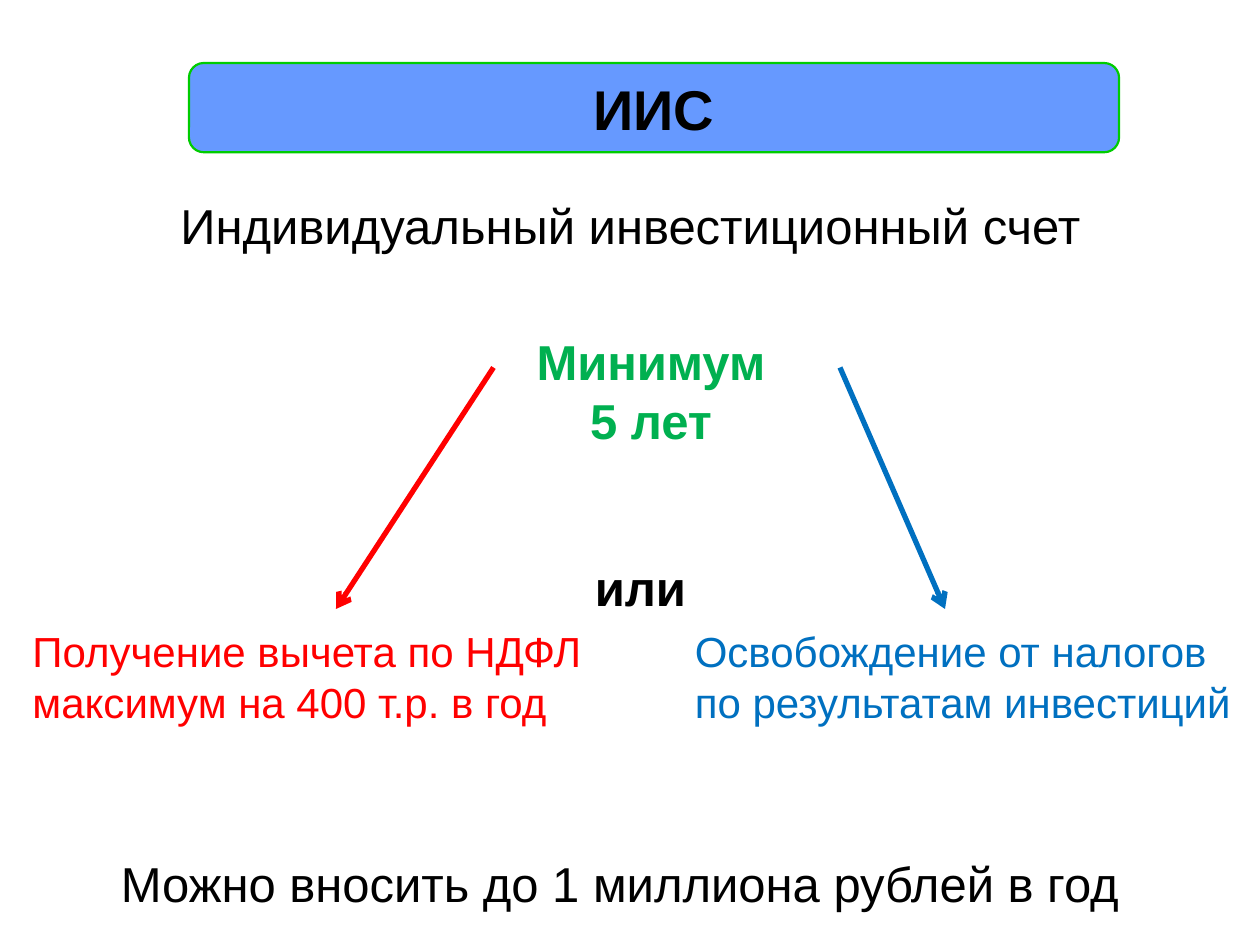
"""Build a slide on the individual investment account and its two tax options."""
from lxml.etree import SubElement
from pptx import Presentation
from pptx.dml.color import RGBColor
from pptx.enum.shapes import MSO_CONNECTOR, MSO_SHAPE
from pptx.enum.text import MSO_ANCHOR, PP_ALIGN
from pptx.oxml.ns import qn
from pptx.util import Pt

BLACK, GREEN, RED, BLUE = "000000", "00B050", "FF0000", "0070C0"
BANNER_FILL, BANNER_LINE = "6699FF", "00CC00"
LEFT, CENTER = PP_ALIGN.LEFT, PP_ALIGN.CENTER

BANNER = ((108, 36, 531.5, 51), ["ИИС"], 32, BLACK, True, CENTER)
TEXTS = [
    ((96, 108, 540, 41), ["Индивидуальный инвестиционный счет"], 28, BLACK, False, LEFT),
    ((102, 186, 540, 75), ["Минимум", "5 лет"], 28, GREEN, True, CENTER),
    ((11.5, 354, 330, 65.5), ["Получение вычета по НДФЛ", "максимум на 400 т.р. в год"],
     24, RED, False, LEFT),
    ((390, 354, 330, 65.5), ["Освобождение от налогов", "по результатам инвестиций"],
     24, BLUE, False, LEFT),
    ((96, 315, 540, 41), ["или"], 28, BLACK, True, CENTER),
    ((62, 484, 596, 41), ["Можно вносить до 1 миллиона рублей в год"], 28, BLACK, False, LEFT),
]
ARROW_TOP, ARROW_BOTTOM = 210, 348
ARROWS = [(282, 192, RED), (480, 540, BLUE)]


def color(value):
    """Turn a hex string into a colour."""
    return RGBColor.from_string(value)


def write(frame, lines, size, ink, bold, align):
    """Fill a text frame with one paragraph per line."""
    frame.word_wrap = True
    for index, line in enumerate(lines):
        para = frame.add_paragraph() if index else frame.paragraphs[0]
        para.alignment = align
        span = para.add_run()
        span.text = line
        for name, value in {"name": "Arial", "size": Pt(size), "bold": bold}.items():
            setattr(span.font, name, value)
        span.font.color.rgb = color(ink)


def add_banner(page, place, *content):
    """Draw the rounded title banner."""
    box = page.shapes.add_shape(MSO_SHAPE.ROUNDED_RECTANGLE, *map(Pt, place))
    box.shadow.inherit = False
    box.fill.solid()
    box.fill.fore_color.rgb = color(BANNER_FILL)
    box.line.color.rgb = color(BANNER_LINE)
    box.line.width = Pt(1.25)
    box.text_frame.vertical_anchor = MSO_ANCHOR.MIDDLE
    write(box.text_frame, *content)


def add_arrow(page, start, end, ink):
    """Draw an open-headed arrow down to an option."""
    points = map(Pt, (start, ARROW_TOP, end, ARROW_BOTTOM))
    arrow = page.shapes.add_connector(MSO_CONNECTOR.STRAIGHT, *points)
    arrow.line.color.rgb = color(ink)
    arrow.line.width = Pt(3)
    SubElement(arrow.line._get_or_add_ln(), qn("a:tailEnd"), type="arrow")
    SubElement(arrow._element.spPr, qn("a:effectLst"))


def main():
    """Assemble and save the deck."""
    deck = Presentation()
    deck.slide_width, deck.slide_height = Pt(720), Pt(540)
    page = deck.slides.add_slide(deck.slide_layouts[6])
    add_banner(page, *BANNER)
    for place, *content in TEXTS:
        box = page.shapes.add_textbox(*map(Pt, place))
        write(box.text_frame, *content)
    for arrow in ARROWS:
        add_arrow(page, *arrow)
    deck.save("out.pptx")


if __name__ == "__main__":
    main()
